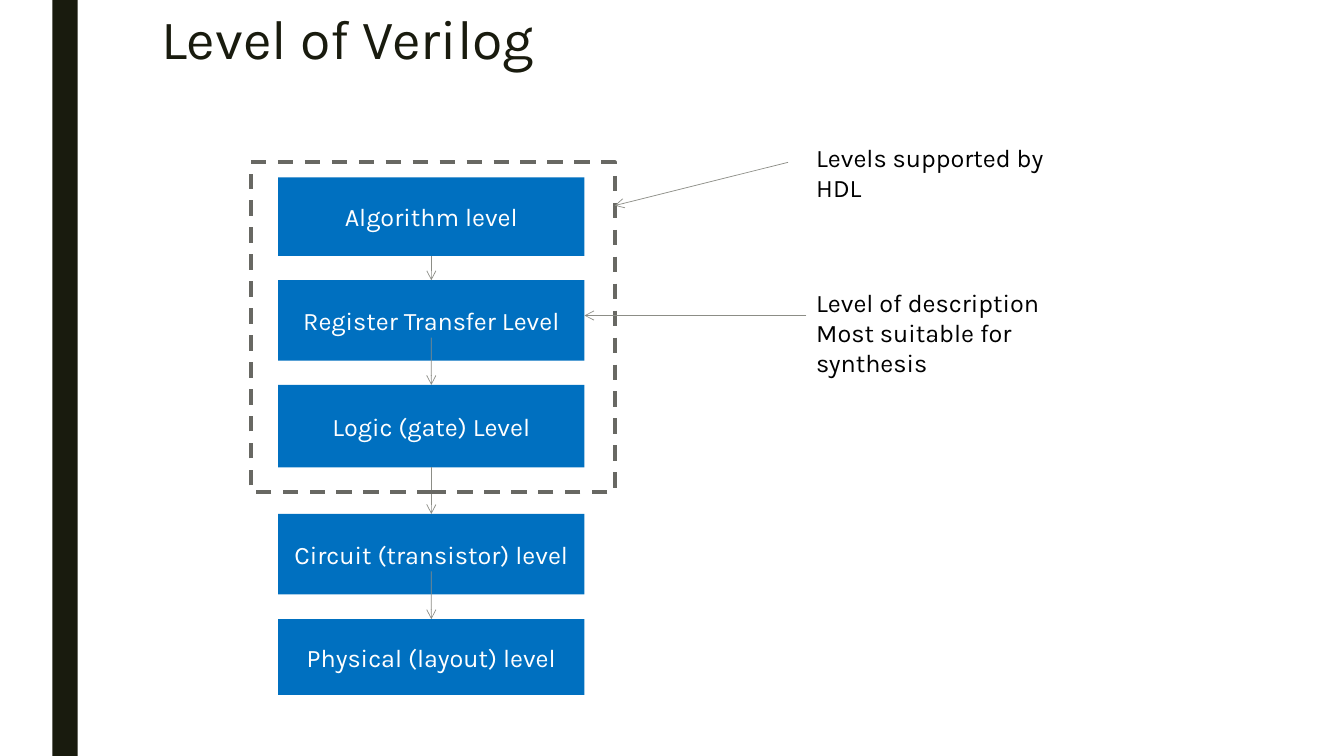
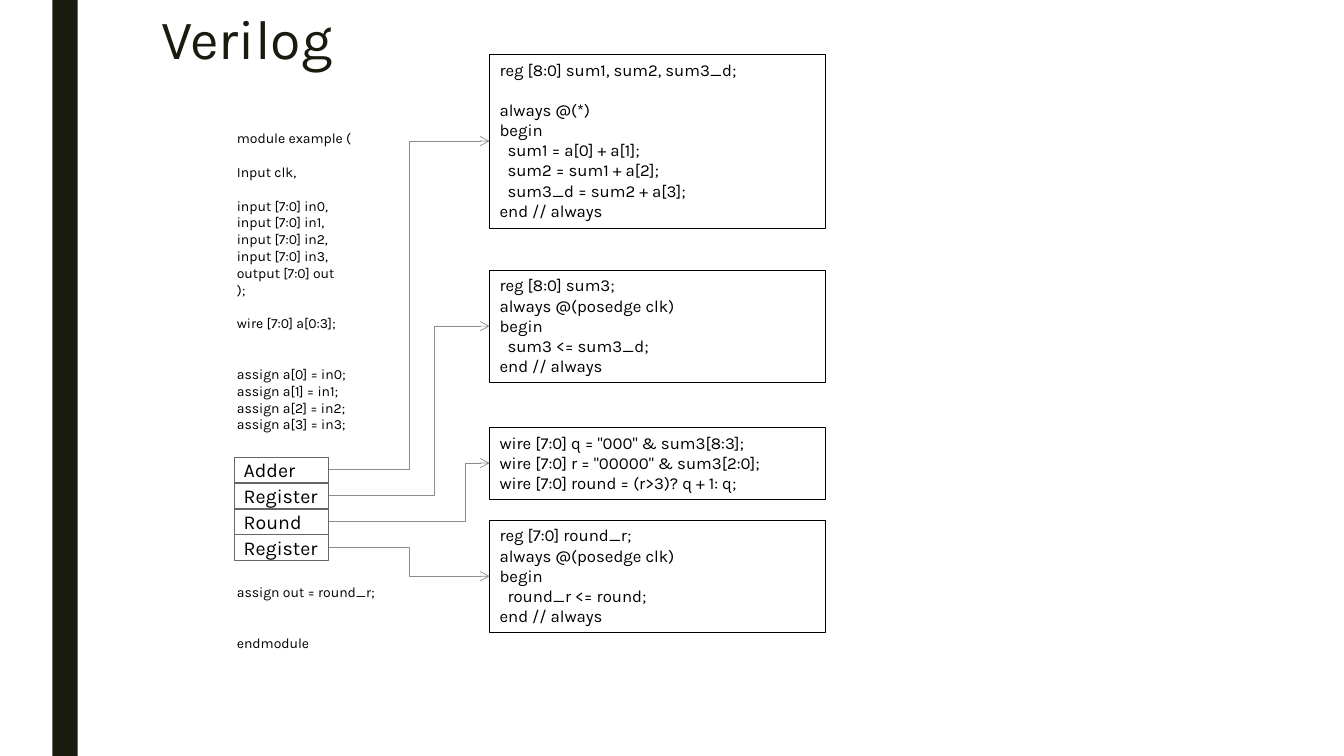
from dataclasses import dataclass
from typing import Any, Optional, Sequence

from lxml.etree import SubElement
from pptx import Presentation
from pptx.dml.color import RGBColor
from pptx.enum.dml import MSO_LINE
from pptx.enum.shapes import MSO_CONNECTOR, MSO_SHAPE
from pptx.enum.text import MSO_ANCHOR, PP_ALIGN
from pptx.oxml.ns import qn
from pptx.util import Cm, Pt

FONT = "Karla"
INK = RGBColor(0x19, 0x1B, 0x0E)
BLACK = RGBColor(0, 0, 0)
WHITE = RGBColor(0xFF, 0xFF, 0xFF)
BLUE = RGBColor(0x00, 0x70, 0xC0)
GREY = RGBColor(0x68, 0x68, 0x63)
ARROW = RGBColor(0x8C, 0x8D, 0x86)

WIDTH, HEIGHT = 33.87, 19.05
LINE_HEIGHT = 1.2
TOP, BOTTOM, LEFT, RIGHT = 0, 2, 1, 3

TOP_TEXT = {"word_wrap": True, "vertical_anchor": MSO_ANCHOR.TOP}
MIDDLE_TEXT = {"word_wrap": True, "vertical_anchor": MSO_ANCHOR.MIDDLE}
LABEL_TEXT = {**MIDDLE_TEXT, "margin_right": 0}
LEFT_PARA = {"alignment": PP_ALIGN.LEFT}
CENTER_PARA = {"alignment": PP_ALIGN.CENTER}
TITLE_PARA = {**LEFT_PARA, "line_spacing": 0.89}


@dataclass(frozen=True)
class Box:
    left: float
    top: float
    width: float
    height: float

    def lengths(self) -> list[Cm]:
        return [Cm(v) for v in (self.left, self.top, self.width, self.height)]


@dataclass(frozen=True)
class Level:
    text: str
    top: float
    height: float
    arrow_start: Optional[float] = None


@dataclass(frozen=True)
class Note:
    box: Box
    lines: Sequence[str]
    arrow: tuple[float, float, float, float]


@dataclass(frozen=True)
class Stage:
    label: str
    top: float
    height: float
    bend: float
    code: Sequence[str]


BAND = Box(1.32, 0, 0.64, HEIGHT)
TITLE = Box(3.81, 0.23, 26.67, 1.63)

LEVEL_LEFT, LEVEL_WIDTH = 7.01, 7.72
LEVELS = [
    Level("Algorithm level", 4.47, 1.98),
    Level("Register Transfer Level", 7.06, 2.03),
    Level("Logic (gate) Level", 9.7, 2.08, 8.51),
    Level("Circuit (transistor) level", 12.95, 2.03),
    Level("Physical (layout) level", 15.6, 1.91, 14.4),
]
HDL_FRAME = Box(6.32, 4.09, 9.17, 8.31)
NOTES = [
    Note(Box(20.32, 3.45, 7.19, 1.02), ["Levels supported by HDL"],
         (19.86, 4.09, 15.49, 5.18)),
    Note(Box(20.32, 7.11, 7.75, 1.8),
         ["Level of description", "Most suitable for synthesis"],
         (20.32, 7.95, 14.73, 7.95)),
]

MODULE_BOX = Box(5.72, 3.15, 9.32, 14.35)
MODULE_CODE = [
    "module example (", "",
    "Input clk,", "",
    *(f"input [7:0] in{i}," for i in range(4)),
    "output [7:0] out",
    ");", "",
    "wire [7:0] a[0:3];", "", "",
    *(f"assign a[{i}] = in{i};" for i in range(4)),
    *[""] * 9,
    "assign out = round_r;", "", "",
    "endmodule",
]
LABEL_LEFT, LABEL_TOP, LABEL_WIDTH, LABEL_HEIGHT = 5.89, 11.51, 2.39, 0.66
LABEL_STEP = 0.65
CODE_LEFT, CODE_WIDTH = 12.34, 8.46
STAGES = [
    Stage("Adder", 1.37, 4.37, 0.5, [
        "reg [8:0] sum1, sum2, sum3_d;",
        "",
        "always @(*)",
        "begin",
        "  sum1 = a[0] + a[1];",
        "  sum2 = sum1 + a[2];",
        "  sum3_d = sum2 + a[3];",
        "end // always",
    ]),
    Stage("Register", 6.81, 2.82, 0.66, [
        "reg [8:0] sum3;",
        "always @(posedge clk)",
        "begin",
        "  sum3 <= sum3_d;",
        "end // always",
    ]),
    Stage("Round", 10.77, 1.8, 0.85, [
        'wire [7:0] q = "000" & sum3[8:3];',
        'wire [7:0] r = "00000" & sum3[2:0];',
        "wire [7:0] round = (r>3)? q + 1: q;",
    ]),
    Stage("Register", 13.11, 2.82, 0.5, [
        "reg [7:0] round_r;",
        "always @(posedge clk)",
        "begin",
        "  round_r <= round;",
        "end // always",
    ]),
]


def apply(target: Any, values: dict[str, Any]) -> None:
    for name, value in values.items():
        setattr(target, name, value)


def write(sp: Any, lines: Sequence[str], size: float, color: RGBColor = BLACK,
          frame: dict[str, Any] = TOP_TEXT,
          para: dict[str, Any] = LEFT_PARA) -> None:
    tf = sp.text_frame
    apply(tf, frame)
    p, gap = tf.paragraphs[0], 0
    for i, line in enumerate(lines):
        if not line:
            gap += 1
            continue
        if i:
            p = tf.add_paragraph()
        apply(p, para)
        if gap:
            p.space_before = Pt(gap * size * LINE_HEIGHT)
            gap = 0
        r = p.add_run()
        r.text = line
        apply(r.font, {"name": FONT, "size": Pt(size)})
        r.font.color.rgb = color


def add_text(s: Any, box: Box, lines: Sequence[str], size: float,
             **style: Any) -> None:
    write(s.shapes.add_textbox(*box.lengths()), lines, size, **style)


def add_rect(s: Any, box: Box, fill: Optional[RGBColor] = None,
             line: Optional[RGBColor] = None, weight: float = 0.25) -> Any:
    sp = s.shapes.add_shape(MSO_SHAPE.RECTANGLE, *box.lengths())
    sp.shadow.inherit = False
    if fill is None:
        sp.fill.background()
    else:
        sp.fill.solid()
        sp.fill.fore_color.rgb = fill
    if line is None:
        sp.line.fill.background()
    else:
        sp.line.color.rgb = line
        sp.line.width = Pt(weight)
    return sp


def add_arrow(s: Any, x1: float, y1: float, x2: float, y2: float,
              kind: Any = MSO_CONNECTOR.STRAIGHT) -> Any:
    cxn = s.shapes.add_connector(kind, Cm(x1), Cm(y1), Cm(x2), Cm(y2))
    cxn.line.color.rgb = ARROW
    cxn.line.width = Pt(0.5)
    SubElement(cxn.line._get_or_add_ln(), qn("a:tailEnd"), type="arrow")
    SubElement(cxn._element.spPr, qn("a:effectLst"))
    return cxn


def set_bend(cxn: Any, bend: float) -> None:
    geom = cxn._element.spPr.find(qn("a:prstGeom"))
    guides = geom.find(qn("a:avLst"))
    if guides is None:
        guides = SubElement(geom, qn("a:avLst"))
    SubElement(guides, qn("a:gd"), name="adj1",
               fmla=f"val {round(bend * 100000)}")


def add_slide(prs: Any, title: str) -> Any:
    s = prs.slides.add_slide(prs.slide_layouts[6])
    add_rect(s, BAND, fill=INK)
    add_text(s, TITLE, [title], 39.6, color=INK, frame=MIDDLE_TEXT,
             para=TITLE_PARA)
    return s


def build_levels(prs: Any) -> None:
    s = add_slide(prs, "Level of Verilog")
    center = LEVEL_LEFT + LEVEL_WIDTH / 2
    previous = None
    for level in LEVELS:
        sp = add_rect(s, Box(LEVEL_LEFT, level.top, LEVEL_WIDTH, level.height),
                      fill=BLUE)
        write(sp, [level.text], 18, WHITE, MIDDLE_TEXT, CENTER_PARA)
        if previous is not None:
            start = level.arrow_start
            cxn = add_arrow(s, center, start or level.top, center, level.top)
            if start is None:
                cxn.begin_connect(previous, BOTTOM)
            cxn.end_connect(sp, TOP)
        previous = sp
    frame = add_rect(s, HDL_FRAME, line=GREY, weight=2.75)
    frame.line.dash_style = MSO_LINE.DASH
    for note in NOTES:
        add_arrow(s, *note.arrow)
        add_text(s, note.box, note.lines, 18)


def build_module(prs: Any) -> None:
    s = add_slide(prs, "Verilog")
    add_text(s, MODULE_BOX, MODULE_CODE, 10)
    for i, stage in enumerate(STAGES):
        top = LABEL_TOP + i * LABEL_STEP
        label = add_rect(s, Box(LABEL_LEFT, top, LABEL_WIDTH, LABEL_HEIGHT),
                         line=GREY)
        write(label, [stage.label], 14, frame=LABEL_TEXT)
        code = add_rect(s, Box(CODE_LEFT, stage.top, CODE_WIDTH, stage.height),
                        line=BLACK)
        write(code, stage.code, 12)
        cxn = add_arrow(s, LABEL_LEFT + LABEL_WIDTH, top + LABEL_HEIGHT / 2,
                        CODE_LEFT, stage.top + stage.height / 2,
                        MSO_CONNECTOR.ELBOW)
        cxn.begin_connect(label, RIGHT)
        cxn.end_connect(code, LEFT)
        set_bend(cxn, stage.bend)


def main() -> None:
    prs = Presentation()
    apply(prs, {"slide_width": Cm(WIDTH), "slide_height": Cm(HEIGHT)})
    build_levels(prs)
    build_module(prs)
    prs.save("out.pptx")


if __name__ == "__main__":
    main()
